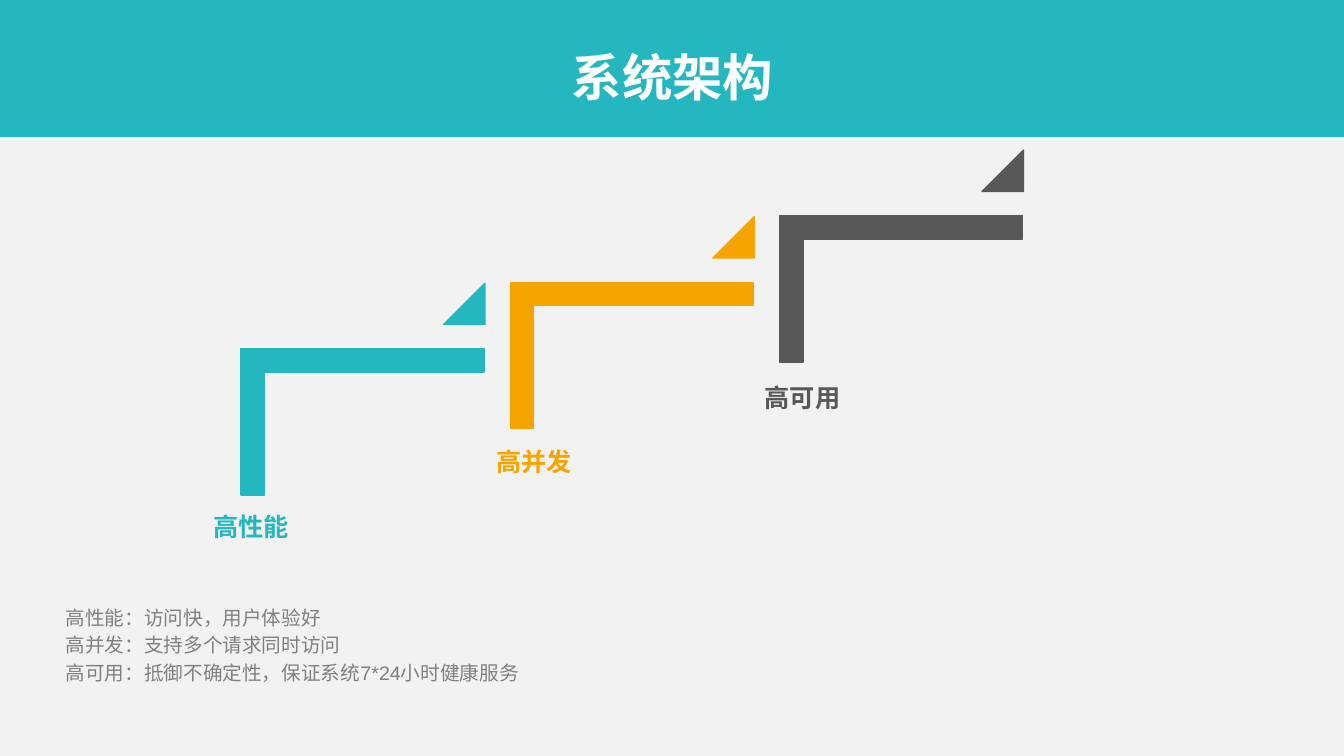
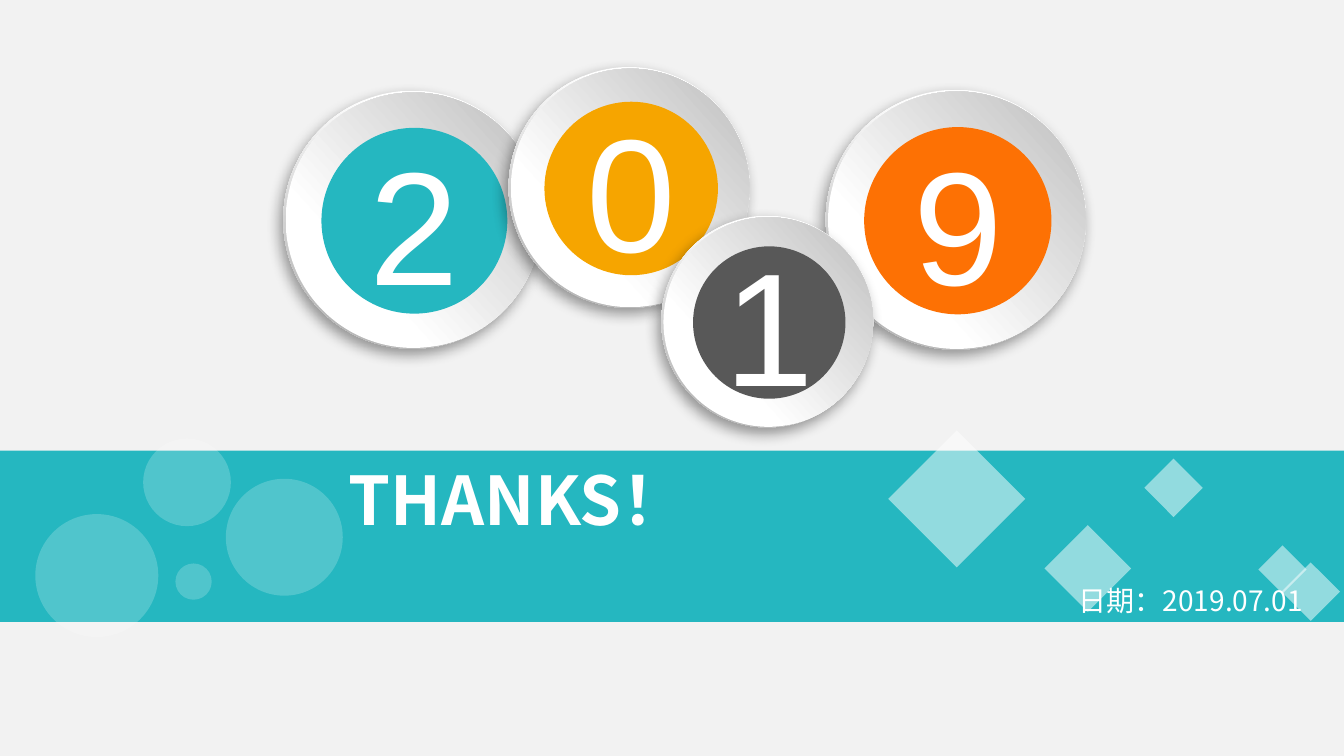
"""Build a system architecture slide and a closing slide."""
from dataclasses import dataclass

from lxml import etree
from pptx import Presentation
from pptx.dml.color import RGBColor
from pptx.enum import lang, shapes, text
from pptx.oxml.ns import qn
from pptx.util import Inches, Pt

TEAL, GOLD, GREY, FLAME = "25B7C0", "F6A500", "585858", "FD7104"
WHITE, PALE, DIM = "FFFFFF", "F2F2F2", "808080"
SANS, HEAD, HAN = "Arial", "Montserrat", "Noto Sans CJK SC"
KIND = shapes.MSO_SHAPE
ELBOW = KIND.from_xml("corner")
LEFT, MID = text.PP_ALIGN.LEFT, text.PP_ALIGN.CENTER
TOP, CORE = text.MSO_ANCHOR.TOP, text.MSO_ANCHOR.MIDDLE
GROW = {"word_wrap": False, "vertical_anchor": TOP,
        "auto_size": text.MSO_AUTO_SIZE.SHAPE_TO_FIT_TEXT}
BODY = {"word_wrap": True, "vertical_anchor": TOP,
        "auto_size": text.MSO_AUTO_SIZE.NONE,
        "margin_left": Inches(0.13), "margin_right": Inches(0.13),
        "margin_top": Inches(0.07), "margin_bottom": Inches(0.07)}
FACE = {"word_wrap": False, "vertical_anchor": CORE, "margin_left": 0,
        "margin_right": 0, "margin_top": 0, "margin_bottom": 0}


@dataclass
class Box:
    """Hold a place and size in inches."""
    x: float
    y: float
    w: float
    h: float


@dataclass
class Type:
    """Hold a text style."""
    size: float
    font: str
    hue: str
    bold: bool = False
    align: text.PP_ALIGN = LEFT


@dataclass
class Step:
    """Hold one stair step."""
    name: str
    hue: str
    left: float


@dataclass
class Disc:
    """Hold one ringed digit by its centre and width."""
    digit: str
    hue: str
    x: float
    y: float
    wide: float


@dataclass
class Spot:
    """Hold one see-through ornament."""
    x: float
    y: float
    wide: float


STEPS = [Step("高性能", TEAL, 2.01), Step("高并发", GOLD, 4.82),
         Step("高可用", GREY, 7.48)]
NOTES = ["高性能：访问快，用户体验好", "高并发：支持多个请求同时访问",
         "高可用：抵御不确定性，保证系统7*24小时健康服务"]
DISCS = [Disc("2", TEAL, 4.09, 2.18, 2.56), Disc("0", GOLD, 6.24, 1.86, 2.39),
         Disc("9", FLAME, 9.48, 2.18, 2.58), Disc("1", GREY, 7.61, 3.19, 2.1)]
DOTS = [Spot(0.35, 5.1, 1.22), Spot(2.24, 4.75, 1.16),
        Spot(1.42, 4.35, 0.87), Spot(1.74, 5.59, 0.36)]
GEMS = [Spot(8.81, 4.27, 1.36), Spot(10.36, 5.21, 0.86), Spot(11.35, 4.55, 0.58),
        Spot(12.71, 5.58, 0.58), Spot(12.48, 5.41, 0.48)]


def rgb(hue: str) -> RGBColor:
    """Turn a hex string into a colour."""
    return RGBColor.from_string(hue)


def apply(item, vals: dict) -> None:
    """Set each named value on an object."""
    for key, val in vals.items():
        setattr(item, key, val)


def place(box: Box) -> dict:
    """Give the position values of a box."""
    return {"left": Inches(box.x), "top": Inches(box.y),
            "width": Inches(box.w), "height": Inches(box.h)}


def write(shape, lines: list[str], look: Type, frame: dict) -> None:
    """Fill a shape with styled paragraphs."""
    area = shape.text_frame
    area.text = "\n".join(lines)
    apply(area, frame)
    for para in area.paragraphs:
        para.alignment = look.align
        for run in para.runs:
            apply(run.font, {"size": Pt(look.size), "name": look.font,
                             "bold": look.bold,
                             "language_id": lang.MSO_LANGUAGE_ID.SIMPLIFIED_CHINESE})
            run.font.color.rgb = rgb(look.hue)
            props = run.font._element
            props.find(qn("a:latin")).addnext(
                etree.SubElement(props, qn("a:ea"), typeface=HAN))


def label(slide, box: Box, line: str, look: Type) -> None:
    """Add a line of text that fits its box."""
    write(slide.shapes.add_textbox(**place(box)), [line], look, GROW)


def title(slide, box: Box, line: str, look: Type) -> None:
    """Place and fill the title."""
    apply(slide.shapes.title, place(box))
    write(slide.shapes.title, [line], look, GROW)


def draw(slide, kind: KIND, box: Box, hue: str, alpha: int = 100):
    """Add a flat shape without outline."""
    shape = slide.shapes.add_shape(kind, **place(box))
    shape.shadow.inherit = False
    shape.fill.solid()
    shape.fill.fore_color.rgb = rgb(hue)
    shape.line.fill.background()
    if alpha < 100:
        tint = shape._element.spPr.find(".//" + qn("a:srgbClr"))
        etree.SubElement(tint, qn("a:alpha"), val=str(alpha * 1000))
    return shape


def band(slide, y: float, h: float) -> None:
    """Lay the teal band behind everything else."""
    strip = draw(slide, KIND.RECTANGLE, Box(0, y, 13.33, h), TEAL)
    slide.shapes._spTree.insert(2, strip._element)


def shade(shape, stops: list[tuple[float, str]], angle: float) -> None:
    """Give a shape a two-stop gradient."""
    shape.fill.gradient()
    shape.fill.gradient_angle = angle
    for stop, (pos, hue) in zip(shape.fill.gradient_stops, stops):
        stop.position = pos
        stop.color.rgb = rgb(hue)


def cast(shape) -> None:
    """Drop a soft shadow to the lower left."""
    group = shape._element.spPr.find(qn("a:effectLst"))
    drop = etree.SubElement(group, qn("a:outerShdw"), blurRad=str(Pt(10)),
                            dist=str(Pt(5)), dir=str(123 * 60000),
                            algn="ctr", rotWithShape="0")
    tint = etree.SubElement(drop, qn("a:srgbClr"), val="000000")
    etree.SubElement(tint, qn("a:alpha"), val="39000")


def stair(slide, rank: int, step: Step) -> None:
    """Draw one step with its arrow tip and name."""
    x, y = 2.67 * rank, -0.66 * rank
    bar = draw(slide, ELBOW, Box(2.87 + x, 2.98 + y, 1.45, 2.41), step.hue)
    bar.rotation = 90
    tip = draw(slide, KIND.ISOSCELES_TRIANGLE,
               Box(4.4 + x, 2.81 + y, 0.41, 0.41), step.hue)
    for shape, cuts in ((bar, (0.16, 0.16)), (tip, (1,))):
        shape.line.color.rgb = rgb(step.hue)
        shape.line.width = Pt(1)
        for spot, cut in enumerate(cuts):
            shape.adjustments[spot] = cut
    label(slide, Box(step.left, 5.02 - 0.64 * rank, 0.96, 0.4), step.name,
          Type(18, SANS, step.hue, True, MID))


def badge(slide, disc: Disc) -> None:
    """Draw a digit on a face inside a raised ring."""
    def circle(scale: float, shift: float):
        """Add a circle scaled and shifted from the ring."""
        wide = disc.wide * scale
        return draw(slide, KIND.OVAL, Box(disc.x + shift - wide / 2,
                                          disc.y + shift / 2 - wide / 2,
                                          wide, wide), disc.hue)

    rim = circle(1, 0)
    shade(rim, [(0.17, WHITE), (0.88, "B8B8B8")], 253)
    cast(rim)
    shade(circle(0.99, 0.01), [(0.29, WHITE), (0.98, "BFBFBF")], 42)
    write(circle(0.72, 0.02), [disc.digit],
          Type(115, SANS, WHITE, align=MID), FACE)


def design(deck) -> None:
    """Build the architecture slide."""
    slide = deck.slides.add_slide(deck.slide_layouts[1])
    band(slide, -0.06, 1.42)
    title(slide, Box(5.56, 0.41, 2.22, 0.71), "系统架构",
          Type(36, HEAD, WHITE, True, MID))
    notes = slide.placeholders[1]
    apply(notes, place(Box(0.52, 5.94, 12.28, 0.89)))
    write(notes, NOTES, Type(14, SANS, DIM), BODY)
    for para in notes.text_frame.paragraphs:
        props = para._p.get_or_add_pPr()
        props.set("marL", "0")
        props.set("indent", "0")
        etree.SubElement(props, qn("a:buNone"))
    for rank, step in enumerate(STEPS):
        stair(slide, rank, step)


def close(deck) -> None:
    """Build the closing slide."""
    slide = deck.slides.add_slide(deck.slide_layouts[5])
    band(slide, 4.47, 1.7)
    title(slide, Box(3.36, 4.5, 3.8, 0.91), "THANKS！", Type(48, HAN, WHITE, True))
    for kind, spots, alpha in ((KIND.OVAL, DOTS, 20), (KIND.DIAMOND, GEMS, 50)):
        for spot in spots:
            draw(slide, kind, Box(spot.x, spot.y, spot.wide, spot.wide), WHITE, alpha)
    for disc in DISCS:
        badge(slide, disc)
    label(slide, Box(10.6, 5.74, 2.5, 0.44), "日期：2019.07.01", Type(20, HAN, WHITE))


def main() -> None:
    """Build and save the deck."""
    deck = Presentation()
    apply(deck, {"slide_width": Inches(13.33), "slide_height": Inches(7.5)})
    back = deck.slide_master.background.fill
    back.solid()
    back.fore_color.rgb = rgb(PALE)
    design(deck)
    close(deck)
    deck.save("out.pptx")


if __name__ == "__main__":
    main()
